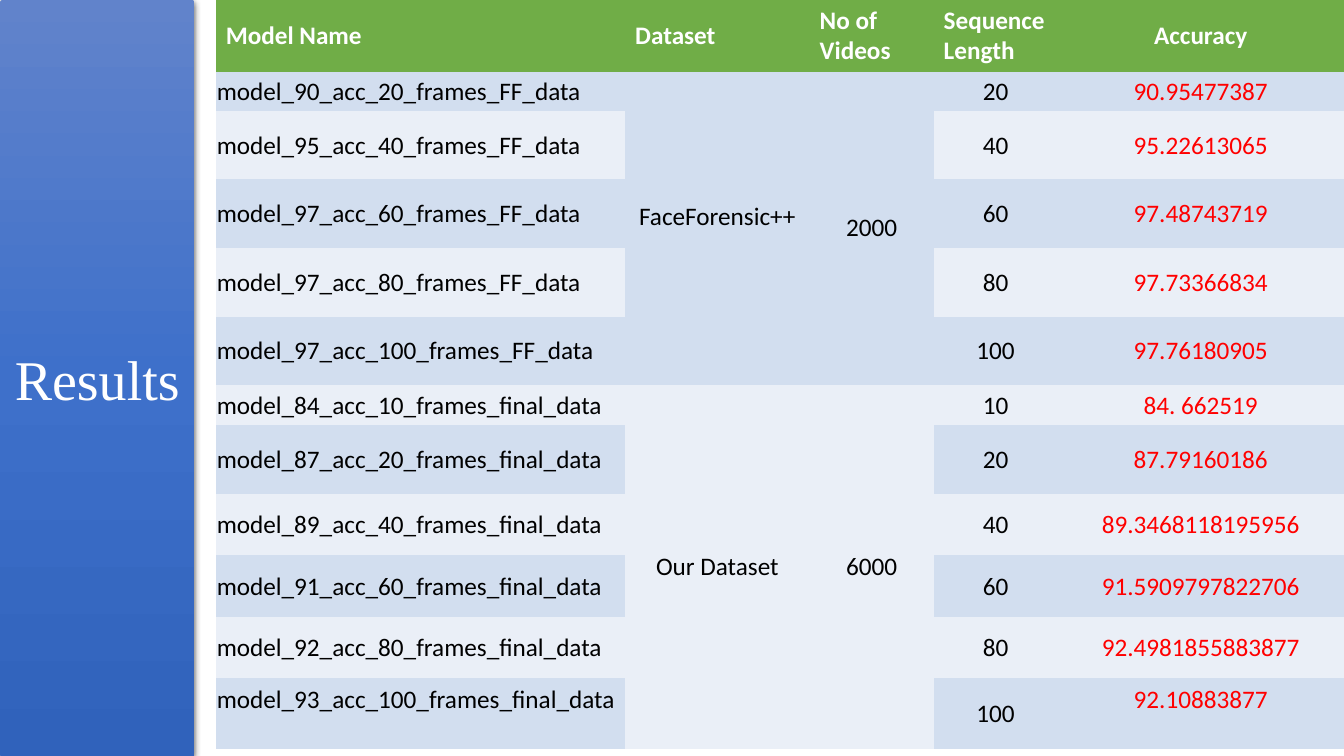
from lxml import etree
from pptx import Presentation
from pptx.dml.color import RGBColor
from pptx.enum.shapes import MSO_SHAPE as Shape
from pptx.enum.text import MSO_ANCHOR as Anchor, PP_ALIGN as Align
from pptx.util import Inches, Pt

WHITE = RGBColor(0xFF, 0xFF, 0xFF)
BLACK = RGBColor(0x00, 0x00, 0x00)
RED = RGBColor(0xFF, 0x00, 0x00)
GREEN = RGBColor(0x70, 0xAD, 0x47)
BANDS = [RGBColor(0xEA, 0xEF, 0xF7), RGBColor(0xD2, 0xDE, 0xEF)]
DRAWING_NS = "http://schemas.openxmlformats.org/drawingml/2006/main"
PLAIN_TABLE_STYLE = "{2D5ABB26-0587-4C30-8999-92F81FD0307C}"

COLUMN_WIDTHS = [4.06, 1.83, 1.23, 1.23, 2.84]
ROW_HEIGHTS = [0.7, 0.39] + [0.68] * 4 + [0.4, 0.68] + [0.61] * 3 + [0.7]
HEADERS = ["Model Name", "Dataset", "No of Videos", "Sequence Length", "Accuracy"]
GROUPS = [
    ("FaceForensic++", "2000", [
        ("model_90_acc_20_frames_FF_data", "20", "90.95477387"),
        ("model_95_acc_40_frames_FF_data", "40", "95.22613065"),
        ("model_97_acc_60_frames_FF_data", "60", "97.48743719"),
        ("model_97_acc_80_frames_FF_data", "80", "97.73366834"),
        ("model_97_acc_100_frames_FF_data", "100", "97.76180905"),
    ]),
    ("Our Dataset", "6000", [
        ("model_84_acc_10_frames_final_data", "10", "84. 662519"),
        ("model_87_acc_20_frames_final_data", "20", "87.79160186"),
        ("model_89_acc_40_frames_final_data", "40", "89.3468118195956"),
        ("model_91_acc_60_frames_final_data", "60", "91.5909797822706"),
        ("model_92_acc_80_frames_final_data", "80", "92.4981855883877"),
        ("model_93_acc_100_frames_final_data", "100", "92.10883877"),
    ]),
]


def write(frame, text, font="Calibri", size=18, color=BLACK, bold=False, align=Align.CENTER):
    para = frame.paragraphs[0]
    para.alignment = align
    span = para.add_run()
    span.text = text
    span.font.name = font
    span.font.size = Pt(size)
    span.font.bold = bold
    span.font.color.rgb = color


deck = Presentation()
deck.slide_width, deck.slide_height = Inches(13.33), Inches(7.5)
page = deck.slides.add_slide(deck.slide_layouts[6])

# Results table
table_frame = page.shapes.add_table(
    len(ROW_HEIGHTS), len(COLUMN_WIDTHS), Inches(2.14), 0,
    Inches(sum(COLUMN_WIDTHS)), Inches(sum(ROW_HEIGHTS)))
table = table_frame.table
for style_id in table_frame.element.iter(f"{{{DRAWING_NS}}}tableStyleId"):
    style_id.text = PLAIN_TABLE_STYLE
for column, width in zip(table.columns, COLUMN_WIDTHS):
    column.width = Inches(width)
for row, height in zip(table.rows, ROW_HEIGHTS):
    row.height = Inches(height)

for row in range(len(ROW_HEIGHTS)):
    for column in range(len(COLUMN_WIDTHS)):
        cell = table.cell(row, column)
        cell.vertical_anchor = Anchor.MIDDLE
        cell.fill.solid()
        cell.fill.fore_color.rgb = BANDS[row % 2] if row else GREEN
        if row and column in (0, 3, 4):
            cell.margin_left = cell.margin_top = cell.margin_right = Inches(0.01)
            cell.margin_bottom = 0

for column, header in enumerate(HEADERS):
    write(table.cell(0, column).text_frame, header, color=WHITE, bold=True,
          align=Align.CENTER if header == "Accuracy" else Align.LEFT)

row = 1
for dataset, videos, models in GROUPS:
    last = row + len(models) - 1
    for column, text in ((1, dataset), (2, videos)):
        table.cell(row, column).merge(table.cell(last, column))
        write(table.cell(row, column).text_frame, text)
    for name, length, accuracy in models:
        write(table.cell(row, 0).text_frame, name, align=Align.LEFT)
        write(table.cell(row, 3).text_frame, length)
        write(table.cell(row, 4).text_frame, accuracy, color=RED)
        row += 1

# Three cells hold their text a little above the middle
for raised_row, raised_column in ((1, 1), (row - 1, 0), (row - 1, 4)):
    table.cell(raised_row, raised_column).margin_bottom = Inches(0.28)

# Title panel
panel = page.shapes.add_shape(Shape.ROUNDED_RECTANGLE, 0, 0, Inches(1.93), deck.slide_height)
panel.adjustments[0] = 0.014
panel.line.fill.background()
gradient = etree.fromstring(
    f'<a:gradFill xmlns:a="{DRAWING_NS}" rotWithShape="1"><a:gsLst>'
    '<a:gs pos="0"><a:srgbClr val="6183CB"/></a:gs>'
    '<a:gs pos="50000"><a:srgbClr val="3E70CA"/></a:gs>'
    '<a:gs pos="100000"><a:srgbClr val="3062BB"/></a:gs>'
    '</a:gsLst><a:lin ang="5400000" scaled="0"/></a:gradFill>')
shadow = etree.fromstring(
    f'<a:effectLst xmlns:a="{DRAWING_NS}">'
    f'<a:outerShdw blurRad="{Pt(4.5)}" dist="{Pt(1.5)}" dir="5400000" algn="ctr" rotWithShape="0">'
    '<a:srgbClr val="000000"><a:alpha val="63000"/></a:srgbClr>'
    '</a:outerShdw></a:effectLst>')
properties = panel.element.spPr
properties.insert(2, gradient)
properties.append(shadow)
panel.text_frame.word_wrap = True
panel.text_frame.vertical_anchor = Anchor.MIDDLE
write(panel.text_frame, "Results", font="Times New Roman", size=40, color=WHITE)

deck.save("out.pptx")
